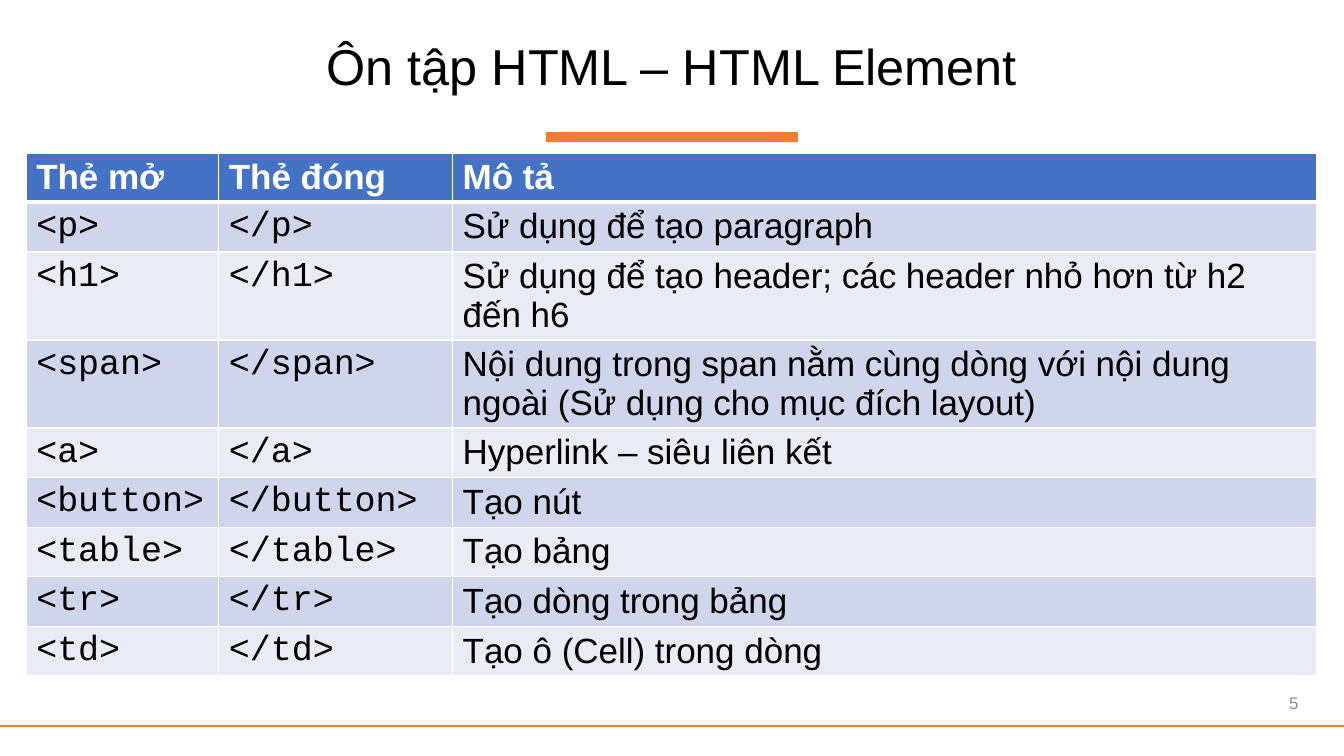
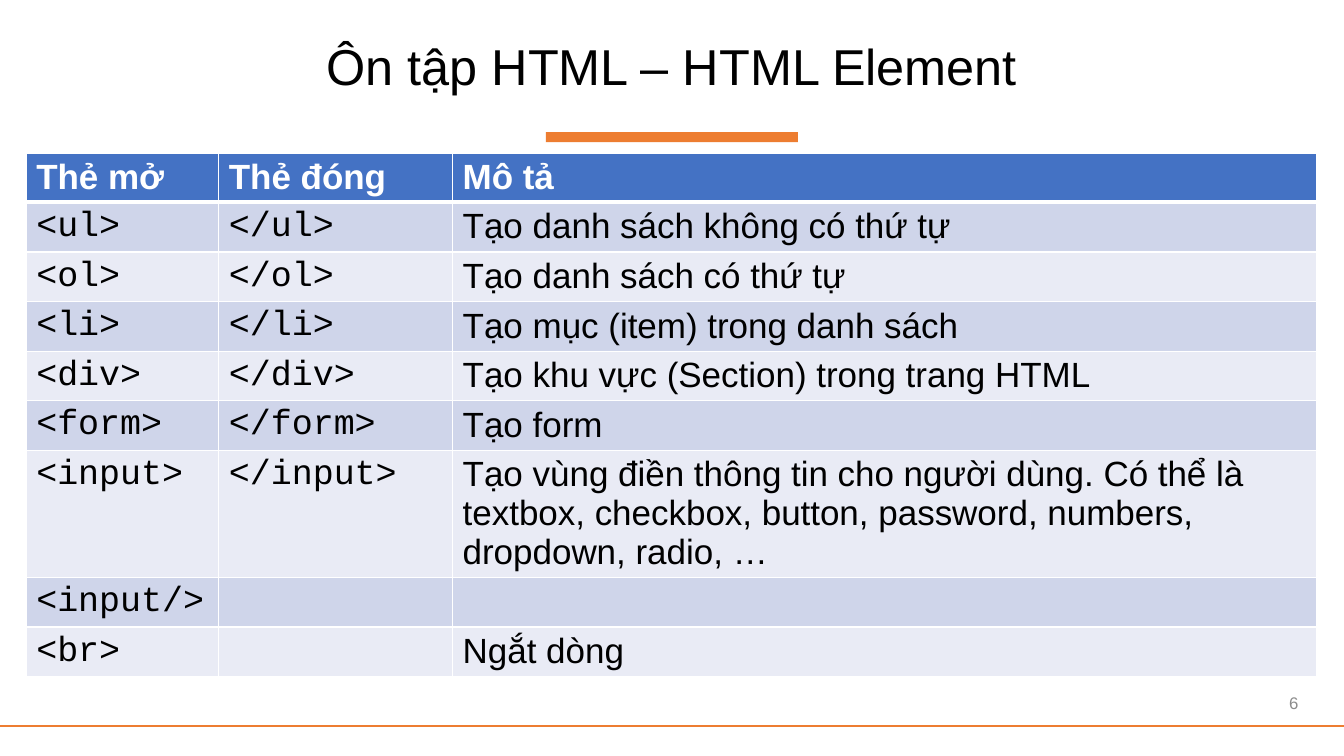
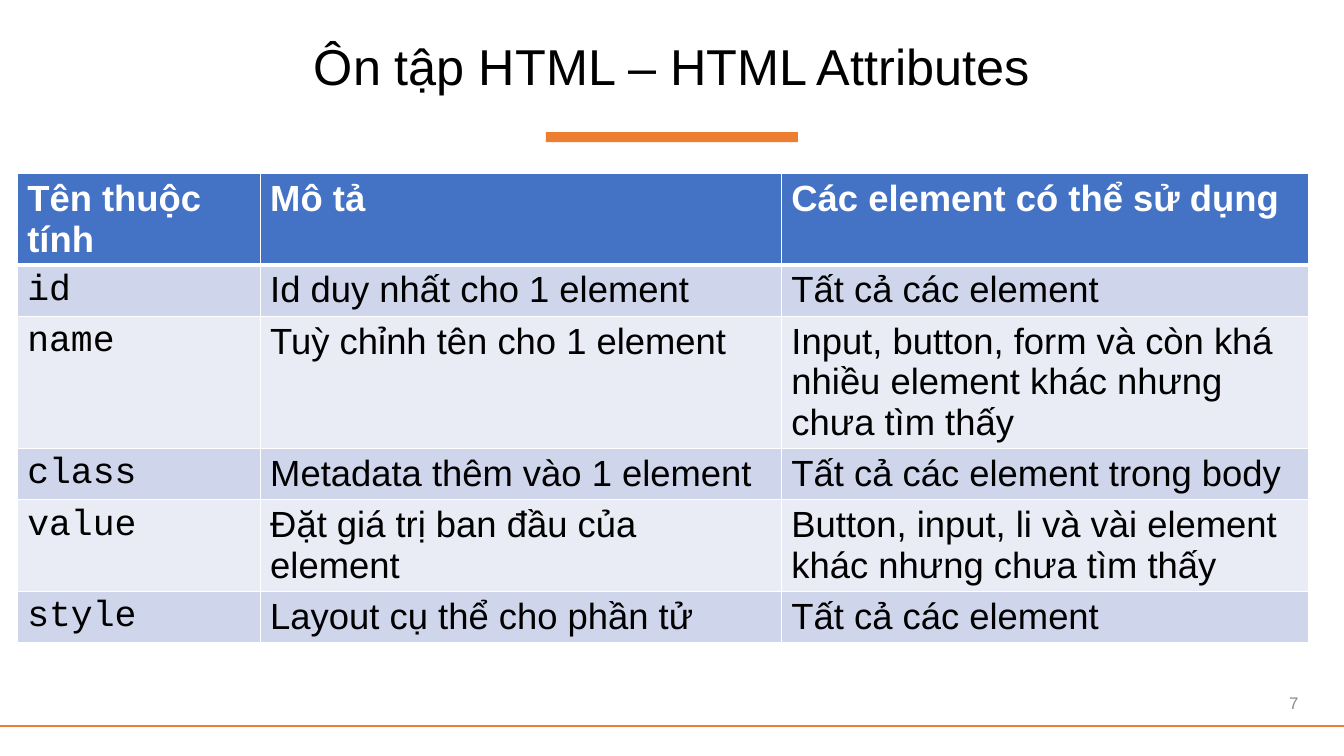
from dataclasses import dataclass

from lxml.etree import SubElement
from pptx import Presentation
from pptx.dml.color import RGBColor as RGB
from pptx.enum.shapes import MSO_CONNECTOR as CONN, MSO_SHAPE as SHAPE
from pptx.enum.text import MSO_ANCHOR as ANCHOR, PP_ALIGN as ALIGN
from pptx.oxml.ns import qn
from pptx.util import Emu, Inches, Pt

WIDTH, HEIGHT = Inches(13.33), Inches(7.5)
GRID = 100


@dataclass(frozen=True)
class Theme:
    sans: str = "Arial"
    mono: str = "Courier New"
    ink: str = "000000"
    paper: str = "FFFFFF"
    accent: str = "ED7D31"
    header: str = "4472C4"
    bands: tuple[str, str] = ("CFD5EA", "E9EBF5")
    muted: str = "8C8C8C"
    title_pt: int = 36
    number_pt: int = 12
    rule_pt: float = 1.5
    grid_pt: int = 1
    header_rule_pt: int = 3


@dataclass(frozen=True)
class Box:
    col: float
    row: float
    cols: float
    rows: float

    def emu(self) -> tuple[Emu, Emu, Emu, Emu]:
        return across(self.col), down(self.row), across(self.cols), down(self.rows)


@dataclass(frozen=True)
class TableSlide:
    title: str
    number: int
    col: float
    row: float
    widths: tuple[float, ...]
    size: int
    mono_cols: int
    rows: tuple[tuple[str, ...], ...]


THEME = Theme()
TITLE = Box(0, -0.53, 100, 19.33)
BAR = Box(40.62, 17.47, 18.75, 1.33)
NUMBER = Box(74.85, 90.27, 22.5, 5.33)
RULE_ROW = 96
ROW_STEP = 5.47

ELEMENT_TITLE = "Ôn tập HTML – HTML Element"
ELEMENT_GRID = dict(col=1.95, row=20.27, widths=(14.33, 17.4, 64.28), size=25, mono_cols=2)
ELEMENT_HEAD = ("Thẻ mở", "Thẻ đóng", "Mô tả")

SLIDES = (
    TableSlide(ELEMENT_TITLE, 5, **ELEMENT_GRID, rows=(
        ELEMENT_HEAD,
        ("<p>", "</p>", "Sử dụng để tạo paragraph"),
        ("<h1>", "</h1>", "Sử dụng để tạo header; các header nhỏ hơn từ h2 đến h6"),
        ("<span>", "</span>",
         "Nội dung trong span nằm cùng dòng với nội dung ngoài (Sử dụng cho mục đích layout)"),
        ("<a>", "</a>", "Hyperlink – siêu liên kết"),
        ("<button>", "</button>", "Tạo nút"),
        ("<table>", "</table>", "Tạo bảng"),
        ("<tr>", "</tr>", "Tạo dòng trong bảng"),
        ("<td>", "</td>", "Tạo ô (Cell) trong dòng"),
    )),
    TableSlide(ELEMENT_TITLE, 6, **ELEMENT_GRID, rows=(
        ELEMENT_HEAD,
        ("<ul>", "</ul>", "Tạo danh sách không có thứ tự"),
        ("<ol>", "</ol>", "Tạo danh sách có thứ tự"),
        ("<li>", "</li>", "Tạo mục (item) trong danh sách"),
        ("<div>", "</div>", "Tạo khu vực (Section) trong trang HTML"),
        ("<form>", "</form>", "Tạo form"),
        ("<input>", "</input>",
         "Tạo vùng điền thông tin cho người dùng. Có thể là textbox, checkbox, button, "
         "password, numbers, dropdown, radio, …"),
        ("<input/>", "", ""),
        ("<br>", "", "Ngắt dòng"),
    )),
    TableSlide(
        "Ôn tập HTML – HTML Attributes", 7, col=1.28, row=22.93,
        widths=(18.08, 38.78, 39.22), size=26, mono_cols=1, rows=(
            ("Tên thuộc tính", "Mô tả", "Các element có thể sử dụng"),
            ("id", "Id duy nhất cho 1 element", "Tất cả các element"),
            ("name", "Tuỳ chỉnh tên cho 1 element",
             "Input, button, form và còn khá nhiều element khác nhưng chưa tìm thấy"),
            ("class", "Metadata thêm vào 1 element", "Tất cả các element trong body"),
            ("value", "Đặt giá trị ban đầu của element",
             "Button, input, li và vài element khác nhưng chưa tìm thấy"),
            ("style", "Layout cụ thể cho phần tử", "Tất cả các element"),
        )),
)


def across(cols: float) -> Emu:
    return Emu(round(WIDTH * cols / GRID))


def down(rows: float) -> Emu:
    return Emu(round(HEIGHT * rows / GRID))


def apply(target, values: dict) -> None:
    for name, value in values.items():
        setattr(target, name, value)


def write(tf, text: str, size: int, color: str, font: str = THEME.sans,
          bold: bool = False, **para) -> None:
    p = tf.paragraphs[0]
    apply(p, para)
    r = p.add_run()
    r.text = text
    apply(r.font, dict(name=font, size=Pt(size), bold=bold))
    r.font.color.rgb = RGB.from_string(color)


def paint(fill, color: str) -> None:
    fill.solid()
    fill.fore_color.rgb = RGB.from_string(color)


def add_bands(slide, layout) -> None:
    bar = slide.shapes.add_shape(SHAPE.RECTANGLE, *BAR.emu())
    bar.shadow.inherit = False
    paint(bar.fill, THEME.accent)
    bar.line.fill.background()
    y = down(RULE_ROW)
    rule = slide.shapes.add_connector(CONN.STRAIGHT, 0, y, WIDTH, y)
    rule.line.width = Pt(THEME.rule_pt)
    rule.line.color.rgb = RGB.from_string(THEME.accent)
    SubElement(rule.element.spPr, qn("a:effectLst"))
    for shape_id, s in enumerate((bar, rule), start=20):
        s.element.xpath(".//p:cNvPr")[0].set("id", str(shape_id))
        layout.shapes.element.append(s.element)


def add_title(slide, text: str) -> None:
    s = slide.shapes.title
    apply(s, dict(zip(("left", "top", "width", "height"), TITLE.emu())))
    s.text_frame.vertical_anchor = ANCHOR.MIDDLE
    write(s.text_frame, text, THEME.title_pt, THEME.ink,
          alignment=ALIGN.CENTER, line_spacing=0.9)


def add_number(slide, number: int) -> None:
    tf = slide.shapes.add_textbox(*NUMBER.emu()).text_frame
    apply(tf, dict(word_wrap=True, vertical_anchor=ANCHOR.MIDDLE))
    write(tf, str(number), THEME.number_pt, THEME.muted, alignment=ALIGN.RIGHT)


def add_borders(cell, row: int) -> None:
    thick = {0: "lnB", 1: "lnT"}.get(row)
    props = cell._tc.get_or_add_tcPr()
    for side in ("lnL", "lnR", "lnT", "lnB"):
        width = THEME.header_rule_pt if side == thick else THEME.grid_pt
        ln = SubElement(props, qn(f"a:{side}"), w=str(Pt(width)))
        solid = SubElement(ln, qn("a:solidFill"))
        SubElement(solid, qn("a:srgbClr"), val=THEME.paper)


def add_grid(slide, data: TableSlide) -> None:
    count = len(data.rows)
    box = Box(data.col, data.row, sum(data.widths), ROW_STEP * count)
    table = slide.shapes.add_table(count, len(data.widths), *box.emu()).table
    table.horz_banding = False
    for column, width in zip(table.columns, data.widths):
        column.width = across(width)
    for i, texts in enumerate(data.rows):
        table.rows[i].height = down(ROW_STEP)
        head = i == 0
        for j, text in enumerate(texts):
            cell = table.cell(i, j)
            add_borders(cell, i)
            paint(cell.fill, THEME.header if head else THEME.bands[(i - 1) % 2])
            if text:
                mono = j < data.mono_cols and not head
                write(cell.text_frame, text, data.size,
                      THEME.paper if head else THEME.ink,
                      THEME.mono if mono else THEME.sans, bold=head)


def main() -> None:
    prs = Presentation()
    apply(prs, dict(slide_width=WIDTH, slide_height=HEIGHT))
    layout = prs.slide_layouts.get_by_name("Title Only")
    slides = [prs.slides.add_slide(layout) for _ in SLIDES]
    add_bands(slides[0], layout)
    for slide, data in zip(slides, SLIDES):
        add_title(slide, data.title)
        add_grid(slide, data)
        add_number(slide, data.number)
    prs.save("out.pptx")


if __name__ == "__main__":
    main()
